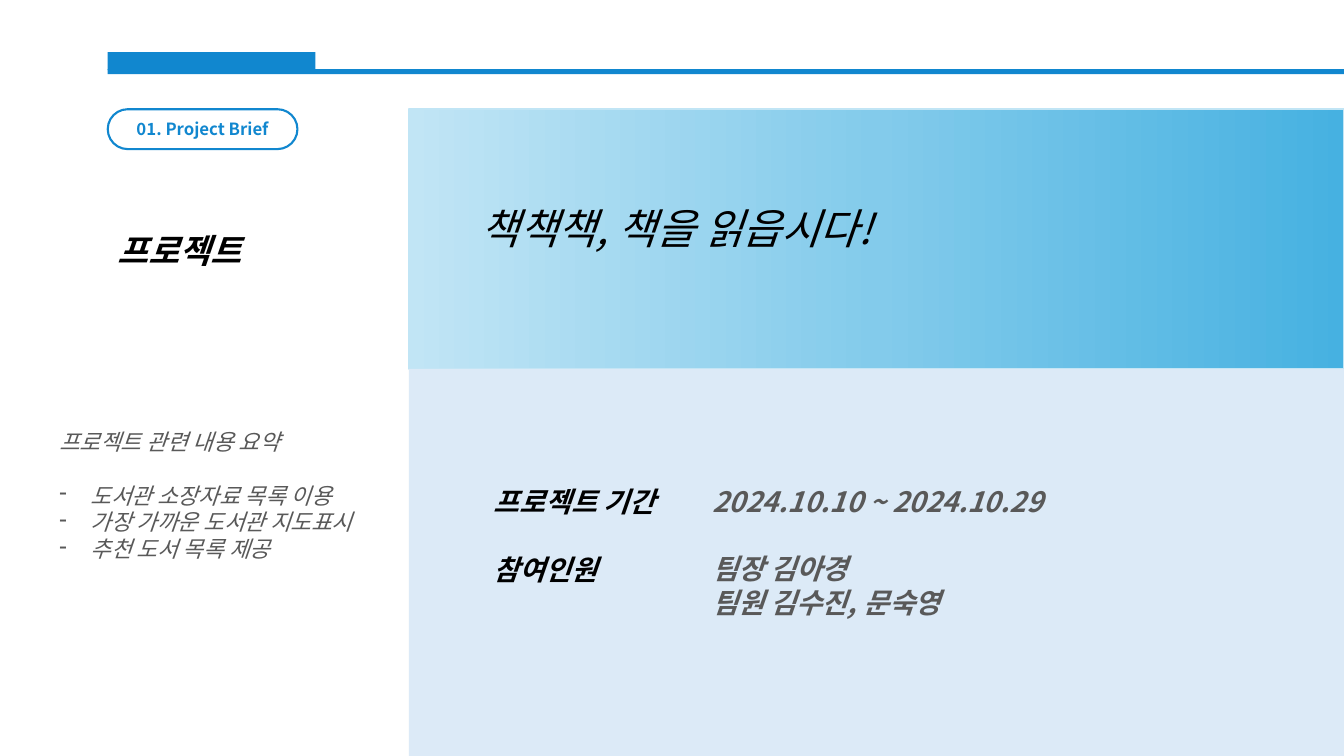
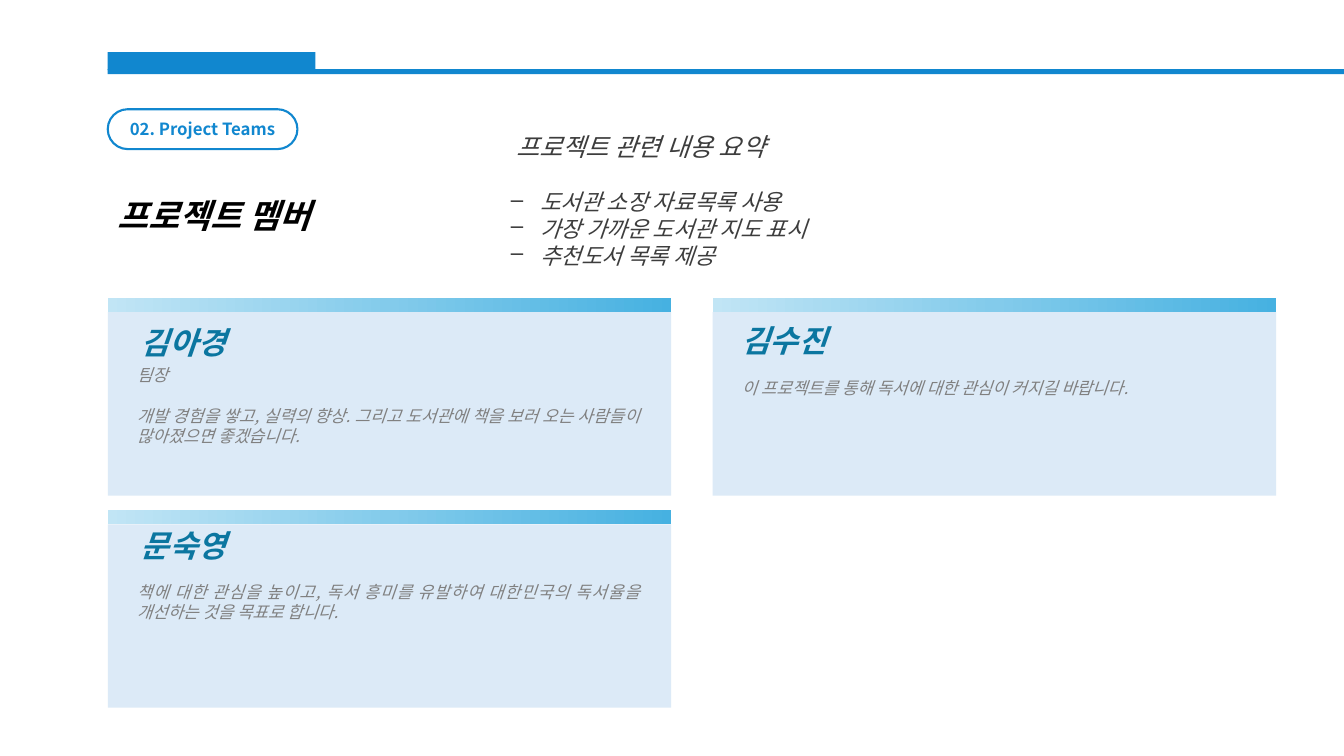
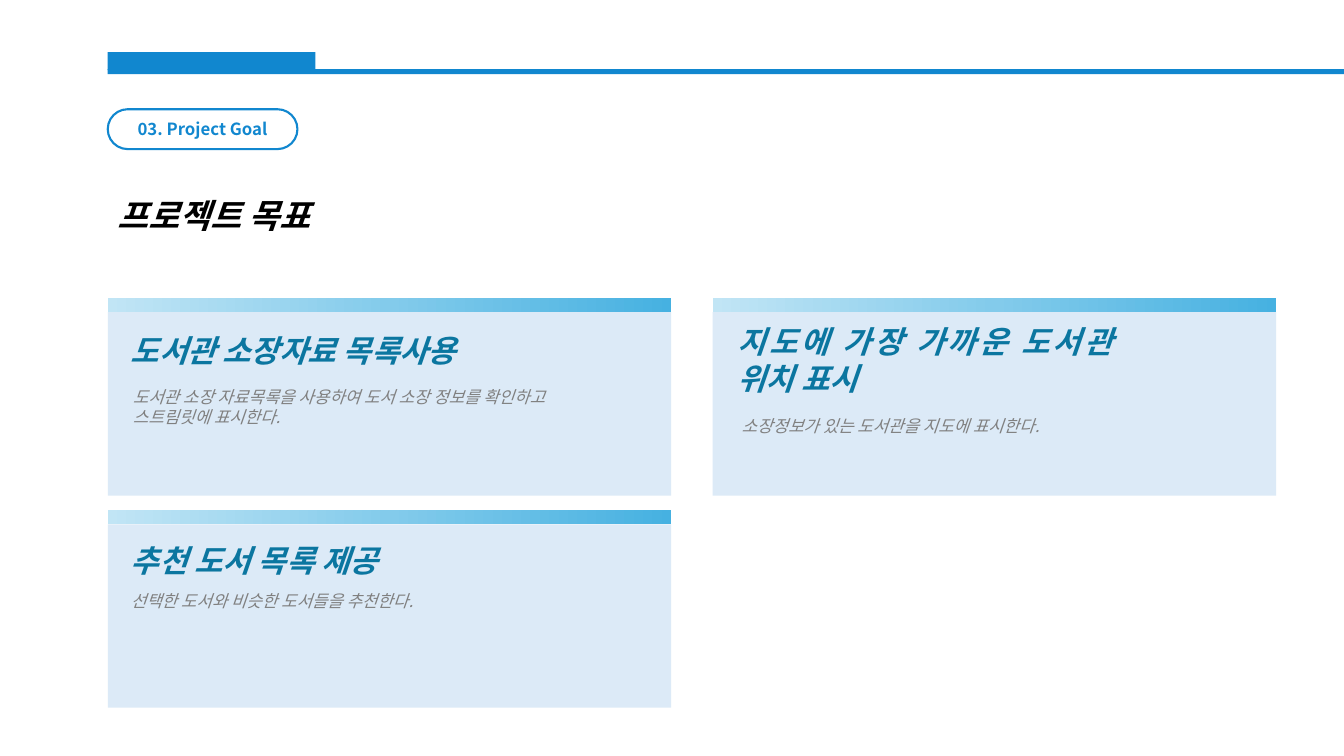
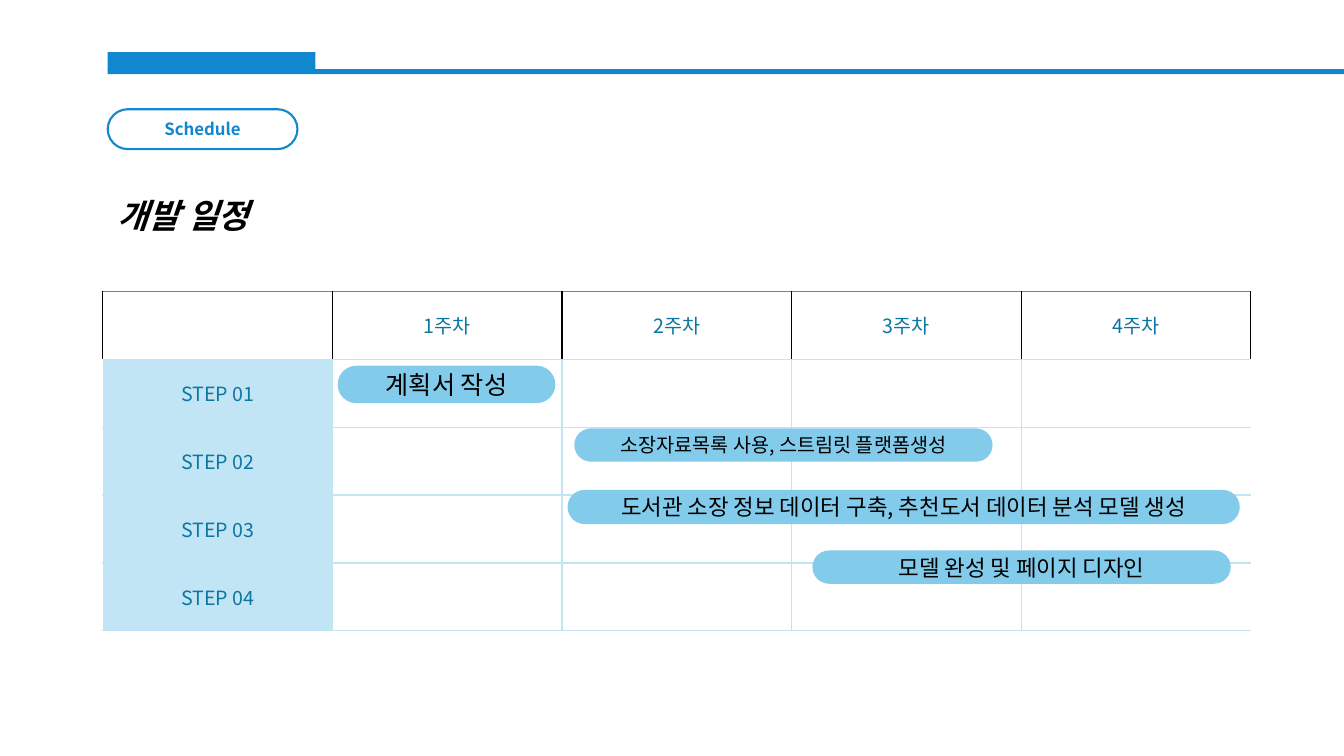
from copy import deepcopy
from dataclasses import dataclass, replace

from lxml import etree
from pptx import Presentation
from pptx.dml.color import RGBColor
from pptx.enum import shapes, text
from pptx.oxml import ns
from pptx.util import Pt

FONT = "Noto Sans CJK KR"
BLACK = RGBColor(0x00, 0x00, 0x00)
BLUE = RGBColor(0x11, 0x87, 0xCF)
TEAL = RGBColor(0x0B, 0x76, 0xA0)
PALE = RGBColor(0xC1, 0xE5, 0xF5)
SKY = RGBColor(0x83, 0xCB, 0xEB)
DEEP_SKY = RGBColor(0x46, 0xB1, 0xE1)
PANEL = RGBColor(0xDC, 0xEA, 0xF7)
DARK_GREY = RGBColor(0x59, 0x59, 0x59)
CHARCOAL = RGBColor(0x3D, 0x3D, 0x3D)
GREY = RGBColor(0x80, 0x80, 0x80)

WIDTH, HEIGHT = 960, 540
MARGIN = 77
CARD_WIDTH, STRIP_HEIGHT, CARD_BODY = 402.5, 10, 131
CARD_ORIGINS = [(MARGIN, 213), (MARGIN, 364.5), (509, 213)]

RECTANGLE = shapes.MSO_SHAPE.RECTANGLE
PILL = shapes.MSO_SHAPE.ROUNDED_RECTANGLE


@dataclass(frozen=True)
class Style:
    size: float
    color: RGBColor
    bold: bool = False
    italic: bool = True
    align: text.PP_ALIGN = text.PP_ALIGN.JUSTIFY
    before: float = 0
    indent: float = 0
    bullet: str = ""


CENTER = text.PP_ALIGN.CENTER
TAG = Style(12, BLUE, bold=True, italic=False, align=CENTER)
TITLE = Style(24, BLACK, bold=True)
HERO = Style(30, BLACK)
LABEL = Style(20, BLACK, bold=True)
DETAIL = replace(LABEL, color=DARK_GREY)
SUMMARY = Style(16, DARK_GREY)
CARD_TITLE = Style(22, TEAL, bold=True)
CARD_TEXT = Style(12, GREY)
TABLE_TEXT = Style(14, TEAL, italic=False, align=CENTER)


def write(frame, lines):
    frame.word_wrap = True
    for index, (content, style) in enumerate(lines):
        paragraph = frame.paragraphs[0] if index == 0 else frame.add_paragraph()
        paragraph.text = content
        paragraph.alignment = style.align
        properties = paragraph._p.get_or_add_pPr()
        if style.indent:
            properties.set("marL", str(Pt(style.indent)))
        if style.bullet:
            properties.set("indent", str(-Pt(style.indent)))
            etree.SubElement(properties, ns.qn("a:buChar"), char=style.bullet)
        if style.before:
            paragraph.space_before = Pt(style.before)
        font = paragraph.font
        font.name = FONT
        font.size = Pt(style.size)
        font.bold = style.bold
        font.italic = style.italic
        font.color.rgb = style.color
        defaults = properties.find(ns.qn("a:defRPr"))
        etree.SubElement(defaults, ns.qn("a:ea"), typeface=FONT)


def text_box(slide, left, top, width, height, lines):
    box = slide.shapes.add_textbox(Pt(left), Pt(top), Pt(width), Pt(height))
    box.text_frame.vertical_anchor = text.MSO_ANCHOR.MIDDLE
    write(box.text_frame, lines)


def add_block(slide, left, top, width, height, fill=None, line=None, kind=RECTANGLE):
    shape = slide.shapes.add_shape(kind, Pt(left), Pt(top), Pt(width), Pt(height))
    shape.shadow.inherit = False
    if fill is None:
        shape.fill.background()
    else:
        shape.fill.solid()
        shape.fill.fore_color.rgb = fill
    if line is None:
        shape.line.fill.background()
    else:
        shape.line.color.rgb = line
        shape.line.width = Pt(1.5)
    return shape


def add_pill(slide, left, top, width, height, content, style, fill=None, line=None):
    pill = add_block(slide, left, top, width, height, fill, line, PILL)
    pill.adjustments[0] = 0.5
    pill.text_frame.vertical_anchor = text.MSO_ANCHOR.MIDDLE
    write(pill.text_frame, [(content, style)])


def add_gradient(slide, left, top, width, height, line=None):
    shape = add_block(slide, left, top, width, height, line=line)
    shape.fill.gradient()
    shape.fill.gradient_angle = 0
    stop_list = shape._element.spPr.find(".//" + ns.qn("a:gsLst"))
    middle = deepcopy(stop_list[0])
    middle.set("pos", "50000")
    stop_list.insert(1, middle)
    for stop, color in zip(shape.fill.gradient_stops, (PALE, SKY, DEEP_SKY)):
        stop.color.rgb = color


def add_page(presentation, tag, title, title_top=114.5):
    slide = presentation.slides.add_slide(presentation.slide_layouts[6])
    add_block(slide, MARGIN, 49.4, WIDTH - MARGIN, 3.6, BLUE)
    add_block(slide, MARGIN, 37.2, 148.3, 13, BLUE)
    add_pill(slide, MARGIN, 78, 135.5, 28.5, tag, TAG, line=BLUE)
    text_box(slide, MARGIN, title_top, 268.5, 78.5, [(title, TITLE)])
    return slide


def add_cards(slide):
    for left, top in CARD_ORIGINS:
        add_gradient(slide, left, top, CARD_WIDTH, STRIP_HEIGHT)
        add_block(slide, left, top + STRIP_HEIGHT, CARD_WIDTH, CARD_BODY, PANEL)


def add_card_texts(slide, titles, notes):
    for left, top, width, content in titles:
        text_box(slide, left, top, width, 40.3, [(content, CARD_TITLE)])
    for left, top, lines in notes:
        text_box(slide, left, top, 373.7, 40.3, lines)


def bulleted(items, style, gap):
    return [(item, replace(style, before=0 if index else gap))
            for index, item in enumerate(items)]


def set_borders(cell, borders):
    properties = cell._tc.get_or_add_tcPr()
    for side in "LRTB":
        if side in borders:
            line = etree.SubElement(properties, ns.qn("a:ln" + side), w=str(Pt(1)))
            fill = etree.SubElement(line, ns.qn("a:solidFill"))
            etree.SubElement(fill, ns.qn("a:srgbClr"), val=str(borders[side]))


def add_schedule(slide, weeks, steps):
    rows, columns = len(steps) + 1, len(weeks) + 1
    table = slide.shapes.add_table(
        rows, columns, Pt(73.5), Pt(208.2), Pt(164 * columns), Pt(48.5 * rows)).table
    table.first_row = False
    table.horz_banding = False
    for row in range(rows):
        for column in range(columns):
            cell = table.cell(row, column)
            cell.vertical_anchor = text.MSO_ANCHOR.MIDDLE
            if row == 0:
                borders = {"L": BLACK, "R": BLACK, "T": GREY, "B": PALE}
            else:
                borders = {"T": PALE, "B": PALE}
                if column > 0:
                    borders["L"] = PALE
                if column < columns - 1:
                    borders["R"] = PALE
            set_borders(cell, borders)
            if row > 0 and column == 0:
                cell.fill.solid()
                cell.fill.fore_color.rgb = PALE
                write(cell.text_frame, [(steps[row - 1], TABLE_TEXT)])
            else:
                cell.fill.background()
                if row == 0 and column > 0:
                    write(cell.text_frame, [(weeks[column - 1], TABLE_TEXT)])


def build_brief(presentation):
    slide = add_page(presentation, "01. Project Brief", "프로젝트", 139)
    dashed = replace(SUMMARY, indent=22.5, bullet="-")
    text_box(slide, 35.3, 238.8, 248.4, 229.7, [
        ("프로젝트 관련 내용 요약", SUMMARY),
        *bulleted(["도서관 소장자료 목록 이용", "가장 가까운 도서관 지도표시",
                   "추천 도서 목록 제공"], dashed, 19.3)])
    add_gradient(slide, 292, 78, WIDTH - 292, 185.5, PALE)
    add_block(slide, 292, 263.5, WIDTH - 292, HEIGHT - 263.5, PANEL)
    text_box(slide, 336.2, 123.1, 374.4, 78.5, [("책책책, 책을 읽읍시다!", HERO)])
    text_box(slide, 345.6, 285.8, 167, 193, [
        ("프로젝트 기간", LABEL), ("참여인원", replace(LABEL, before=24))])
    text_box(slide, 501.8, 297.4, 434.2, 193, [
        ("2024.10.10 ~ 2024.10.29", DETAIL),
        ("팀장 김아경", replace(DETAIL, before=24)),
        ("팀원 김수진, 문숙영", DETAIL)])


def build_team(presentation):
    slide = add_page(presentation, "02. Project Teams", "프로젝트 멤버")
    dashed = Style(16, CHARCOAL, align=text.PP_ALIGN.LEFT, indent=21, bullet="–")
    text_box(slide, 357.8, 112.3, 538.6, 61.2, [
        ("프로젝트 관련 내용 요약", Style(18, CHARCOAL, indent=4)),
        *bulleted(["도서관 소장 자료목록 사용", "가장 가까운 도서관 지도 표시",
                   "추천도서 목록 제공"], dashed, 19.3)])
    add_cards(slide)
    add_card_texts(slide, [
        (93.6, 224, 268.5, "김아경"),
        (93.6, 369.4, 268.5, "문숙영"),
        (522.7, 222.5, 268.5, "김수진"),
    ], [
        (90.7, 269.3, [
            ("팀장", CARD_TEXT),
            ("개발 경험을 쌓고, 실력의 향상. 그리고 도서관에 책을 보러 오는 "
             "사람들이 많아졌으면 좋겠습니다.", replace(CARD_TEXT, before=14.5))]),
        (90.7, 409.7, [
            ("책에 대한 관심을 높이고, 독서 흥미를 유발하여 대한민국의 독서율을 "
             "개선하는 것을 목표로 합니다.", CARD_TEXT)]),
        (522.7, 257, [
            ("이 프로젝트를 통해 독서에 대한 관심이 커지길 바랍니다.", CARD_TEXT)]),
    ])


def build_goal(presentation):
    slide = add_page(presentation, "03. Project Goal", "프로젝트 목표")
    add_cards(slide)
    add_card_texts(slide, [
        (86.4, 229.7, 288, "도서관 소장자료 목록사용"),
        (86.4, 380.2, 268.5, "추천 도서 목록 제공"),
        (519.8, 236.9, 282.2, "지도에 가장 가까운 도서관 위치 표시"),
    ], [
        (87.8, 270.2, [
            ("도서관 소장 자료목록을 사용하여 도서 소장 정보를 확인하고", CARD_TEXT),
            ("스트림릿에 표시한다.", CARD_TEXT)]),
        (86.4, 409, [("선택한 도서와 비슷한 도서들을 추천한다.", CARD_TEXT)]),
        (522.7, 283.7, [("소장정보가 있는 도서관을 지도에 표시한다.", CARD_TEXT)]),
    ])


def build_schedule(presentation):
    slide = add_page(presentation, "Schedule", "개발 일정")
    add_schedule(slide, [f"{week}주차" for week in range(1, 5)],
                 [f"STEP {step:02}" for step in range(1, 5)])
    for left, top, width, height, size, task in [
        (241.2, 261.2, 155.5, 26.8, 18, "계획서 작성"),
        (410.2, 306, 298.8, 23.8, 14, "소장자료목록 사용, 스트림릿 플랫폼생성"),
        (405.4, 349.9, 480.2, 24.5, 16,
         "도서관 소장 정보 데이터 구축, 추천도서 데이터 분석 모델 생성"),
        (580.3, 393.2, 298.8, 23.8, 16, "모델 완성 및 페이지 디자인"),
    ]:
        style = Style(size, BLACK, italic=False, align=CENTER)
        add_pill(slide, left, top, width, height, task, style, fill=SKY)


def main():
    presentation = Presentation()
    presentation.slide_width = Pt(WIDTH)
    presentation.slide_height = Pt(HEIGHT)
    build_brief(presentation)
    build_team(presentation)
    build_goal(presentation)
    build_schedule(presentation)
    presentation.save("out.pptx")


if __name__ == "__main__":
    main()
